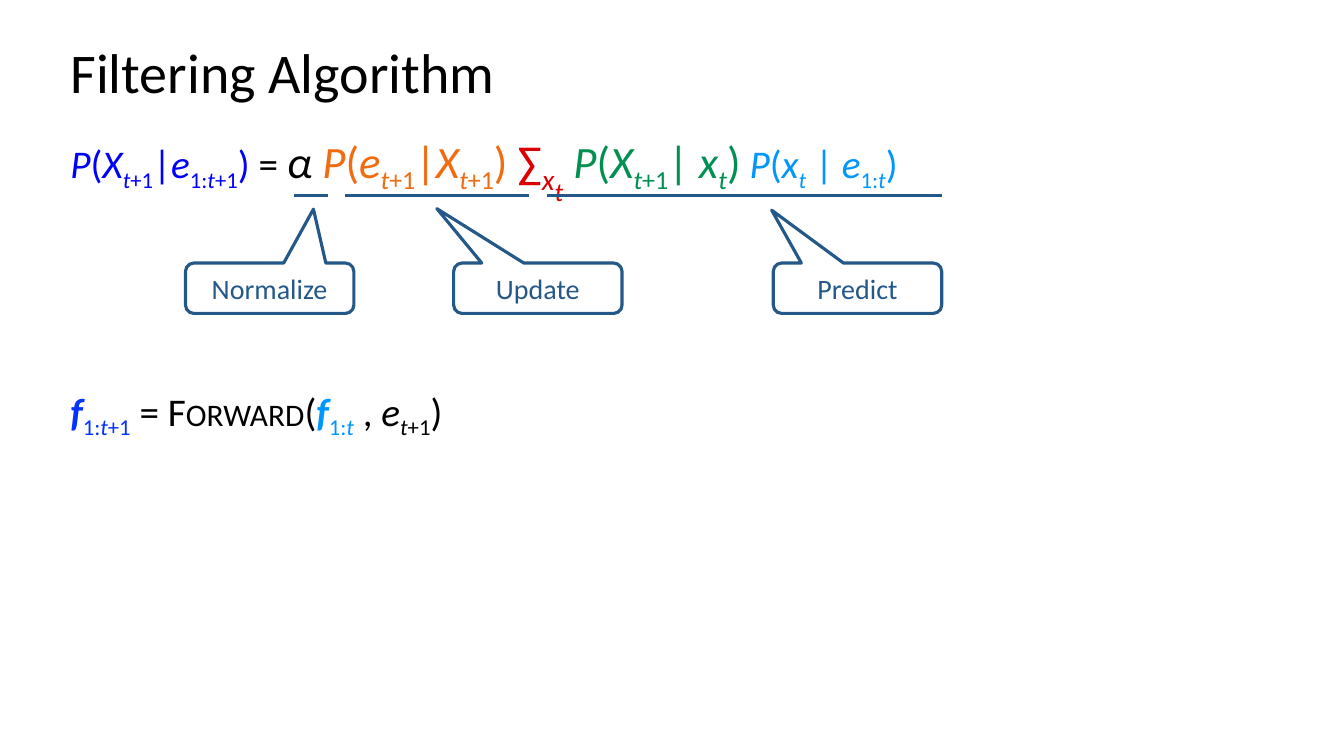
from itertools import groupby

from lxml import etree
from pptx import Presentation
from pptx import util as u
from pptx.dml.color import RGBColor
from pptx.enum import shapes, text
from pptx.oxml.ns import qn

FONT = "Calibri"
BLACK = RGBColor(0x00, 0x00, 0x00)
WHITE = RGBColor(0xFF, 0xFF, 0xFF)
NAVY = RGBColor(0x23, 0x58, 0x88)
BLUE = RGBColor(0x00, 0x00, 0xFF)
ORANGE = RGBColor(0xF1, 0x6C, 0x11)
RED = RGBColor(0xDC, 0x00, 0x03)
GREEN = RGBColor(0x00, 0x90, 0x51)
SKY = RGBColor(0x00, 0x96, 0xFF)
ROYAL = RGBColor(0x04, 0x32, 0xFF)

SUBSCRIPT = {"baseline": "-25000"}
DEEP_SUBSCRIPT = {"baseline": "-51000"}
BOLD = {"b": "1"}
SMALL_CAPS = {"cap": "small", "i": "0"}

FILTERING = [
    ("P(X_t+1_|e_1:t+1_) ", 28, BLUE, {}),
    ("= ", 28, BLACK, {}),
    ("α ", 32, BLACK, {}),
    ("P(e_t+1_|X_t+1_) ", 32, ORANGE, {}),
    ("∑", 32, RED, {}),
    ("x", 36, RED, SUBSCRIPT),
    ("t", 32, RED, DEEP_SUBSCRIPT),
    (" P(X_t+1_| x_t_)", 32, GREEN, {}),
    (" P(x_t_ | e_1:t_)", 28, SKY, {}),
]
FORWARD = [
    ("f", 28, ROYAL, BOLD),
    ("_1:t+1_ ", 28, ROYAL, {}),
    ("= ", 28, BLACK, {}),
    ("Forward", 28, BLACK, SMALL_CAPS),
    ("(", 28, BLACK, {}),
    ("f", 28, SKY, BOLD),
    ("_1:t_ ", 28, SKY, {}),
    (", e_t+1_)", 28, BLACK, {}),
]

STEPS = [
    ("Predict", 7.67, (-0.51, -1.55), 5.43, 9.34),
    ("Update", 4.5, (-0.6, -1.58), 3.42, 5.25),
    ("Normalize", 1.84, (0.26, -1.57), 2.92, 3.25),
]


def add_text_frame(slide, left, top, width, height):
    box = slide.shapes.add_textbox(*map(u.Inches, (left, top, width, height)))
    box.text_frame.word_wrap = True
    return box.text_frame


def add_title(slide, left, top, width, height):
    frame = add_text_frame(slide, left, top, width, height)
    frame.vertical_anchor = text.MSO_ANCHOR.MIDDLE
    heading = frame.paragraphs[0]
    heading.text = "Filtering Algorithm"
    heading.line_spacing = 0.9
    heading.font.name, heading.font.size = FONT, u.Pt(40)
    heading.font.color.rgb = BLACK


def write_formula(paragraph, terms):
    paragraph.line_spacing = 0.9
    paragraph.font.name = FONT
    for markup, size, color, extras in terms:
        for index, piece in enumerate(markup.split("_")):
            for italic, symbols in groupby(piece, str.isalpha):
                run = paragraph.add_run()
                run.text = "".join(symbols)
                run.font.size = u.Pt(size)
                run.font.italic = italic
                run.font.color.rgb = color
                properties = run._r.get_or_add_rPr()
                for key, value in ((SUBSCRIPT if index % 2 else {}) | extras).items():
                    properties.set(key, value)


def add_formulas(slide, left, top, width, height):
    frame = add_text_frame(slide, left, top, width, height)
    write_formula(frame.paragraphs[0], FILTERING)
    forward = frame.add_paragraph()
    forward.space_before = u.Pt(135)
    write_formula(forward, FORWARD)


def add_underline(slide, start, end, y):
    line = slide.shapes.add_connector(
        shapes.MSO_CONNECTOR.STRAIGHT, *map(u.Inches, (start, y, end, y)))
    line.line.color.rgb = NAVY
    line.line.width = u.Pt(2.25)
    etree.SubElement(line._element.spPr, qn("a:effectLst"))


def add_callout(slide, label, pointer, left, top, width, height):
    callout = slide.shapes.add_shape(
        shapes.MSO_SHAPE.ROUNDED_RECTANGULAR_CALLOUT,
        *map(u.Inches, (left, top, width, height)))
    callout.shadow.inherit = False
    callout.adjustments[0], callout.adjustments[1] = pointer
    callout.fill.solid()
    callout.fill.fore_color.rgb = WHITE
    callout.line.color.rgb = NAVY
    callout.line.width = u.Pt(2.25)
    callout.text_frame.vertical_anchor = text.MSO_ANCHOR.MIDDLE
    caption = callout.text_frame.paragraphs[0]
    caption.text = label
    caption.alignment = text.PP_ALIGN.CENTER
    caption.font.name, caption.font.size = FONT, u.Pt(20)
    caption.font.color.rgb = NAVY


def add_steps(slide, underline_y, callout_top):
    for _, _, _, start, end in STEPS:
        add_underline(slide, start, end, underline_y)
    for label, left, pointer, _, _ in STEPS:
        add_callout(slide, label, pointer, left, callout_top, 1.67, 0.5)


def main():
    deck = Presentation()
    deck.slide_width, deck.slide_height = u.Inches(13.33), u.Inches(7.5)
    slide = deck.slides.add_slide(deck.slide_layouts[6])
    add_title(slide, 0.6, 0.4, 11.5, 0.69)
    add_formulas(slide, 0.6, 1.22, 11.5, 3.22)
    add_steps(slide, 1.94, 2.61)
    deck.save("out.pptx")


if __name__ == "__main__":
    main()
